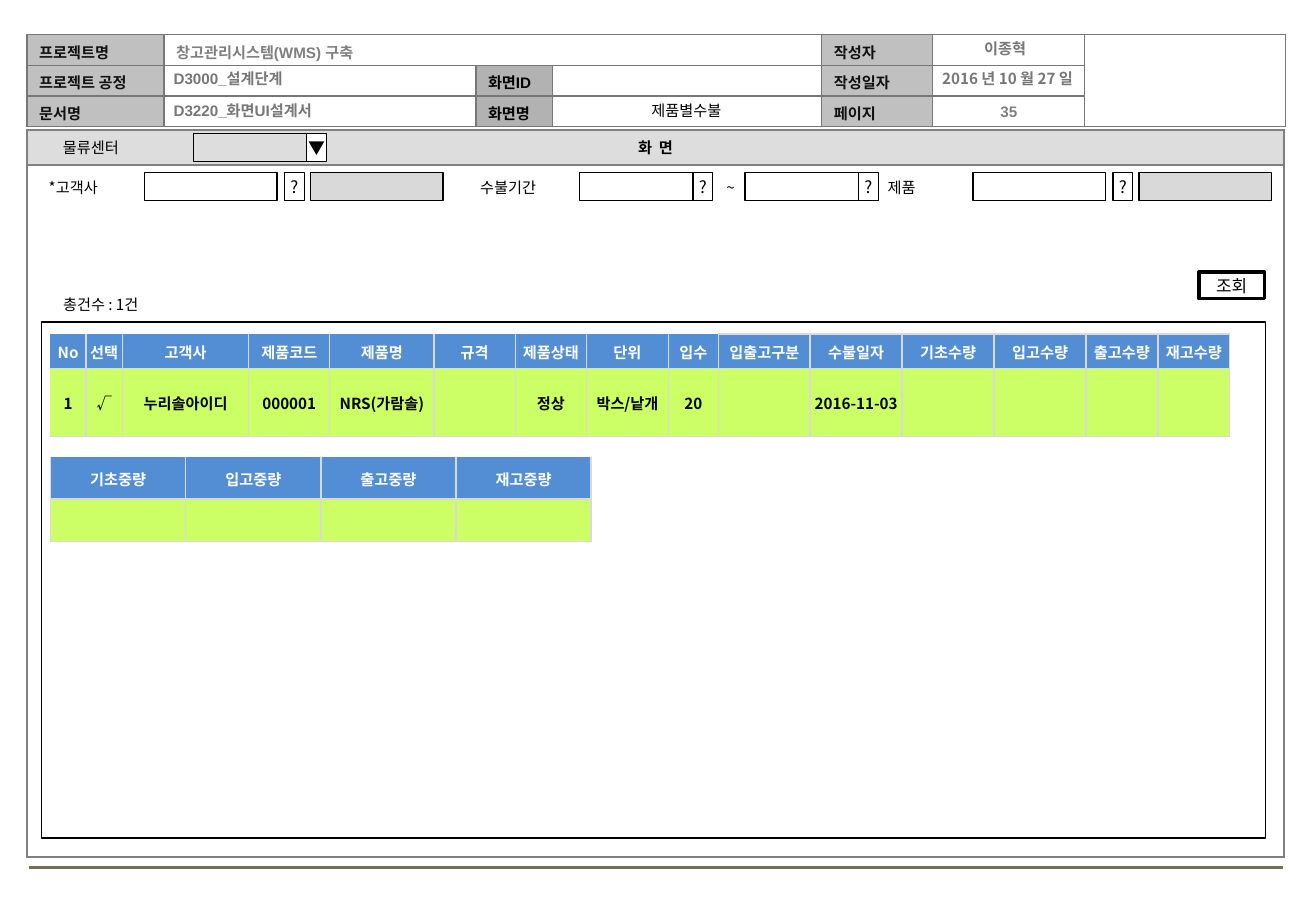
from dataclasses import dataclass

from lxml.etree import SubElement
from pptx import Presentation
from pptx.dml.color import RGBColor
from pptx.enum.shapes import MSO_CONNECTOR as Connector, MSO_SHAPE as Shape
from pptx.enum.text import MSO_ANCHOR as Anchor, PP_ALIGN as Align
from pptx.oxml.ns import qn
from pptx.util import Pt

PLAIN_TABLE_STYLE = "{2D5ABB26-0587-4C30-8999-92F81FD0307C}"


@dataclass(frozen=True)
class Theme:
    latin: str = "Arial"
    korean: str = "Noto Sans CJK KR"
    text_size: float = 9
    control_size: float = 10
    black: str = "000000"
    white: str = "FFFFFF"
    label: str = "111111"
    value: str = "777777"
    project: str = "808080"
    page_number: str = "7F7F7F"
    label_fill: str = "C0C0C0"
    screen_fill: str = "B2B2B2"
    title_fill: str = "DDDDDD"
    disabled_fill: str = "D9D9D9"
    header_line: str = "777777"
    frame_line: str = "808080"
    grid_line: str = "D9D9D9"
    grid_head: str = "538ED5"
    grid_row: str = "CCFF66"
    footer: str = "7A6F54"


THEME = Theme()


# Shared helpers
def write_text(text_frame, text, color=THEME.black, bold=False, align=Align.LEFT,
               font=THEME.korean, size=THEME.text_size):
    paragraph = text_frame.paragraphs[0]
    paragraph.text = text
    paragraph.alignment = align
    for run in paragraph.runs:
        run.font.name = font
        run.font.size = Pt(size)
        run.font.bold = bold
        run.font.color.rgb = RGBColor.from_string(color)
        SubElement(run.font._element, qn("a:ea"), typeface=THEME.korean)
    if not text:
        paragraph._p.get_or_add_endParaRPr().set("sz", str(int(size * 100)))


def add_label(slide, left, top, width, text, **style):
    shape = slide.shapes.add_textbox(Pt(left), Pt(top), Pt(width), Pt(18))
    shape.text_frame.word_wrap = True
    write_text(shape.text_frame, text, **style)


def add_rectangle(slide, left, top, width, height, fill=None, line_width=0.75, text=""):
    shape = slide.shapes.add_shape(Shape.RECTANGLE, Pt(left), Pt(top), Pt(width), Pt(height))
    shape.shadow.inherit = False
    if fill:
        shape.fill.solid()
        shape.fill.fore_color.rgb = RGBColor.from_string(fill)
    else:
        shape.fill.background()
    shape.line.color.rgb = RGBColor.from_string(THEME.black)
    shape.line.width = Pt(line_width)
    if text:
        frame = shape.text_frame
        frame.word_wrap = False
        frame.vertical_anchor = Anchor.MIDDLE
        frame.margin_left = frame.margin_right = Pt(1.5)
        frame.margin_top = frame.margin_bottom = Pt(3)
        write_text(frame, text, align=Align.CENTER, size=THEME.control_size)


def add_grid(slide, left, top, widths, heights):
    graphic = slide.shapes.add_table(len(heights), len(widths), Pt(left), Pt(top),
                                     Pt(sum(widths)), Pt(sum(heights)))
    table = graphic.table
    table.first_row = table.horz_banding = False
    table._tbl.tblPr.find(qn("a:tableStyleId")).text = PLAIN_TABLE_STYLE
    for column, width in zip(table.columns, widths):
        column.width = Pt(width)
    for row, height in zip(table.rows, heights):
        row.height = Pt(height)
    return table


def format_cell(cell, text, fill, line, margins, sides="LRTB", **style):
    cell.margin_left, cell.margin_top, cell.margin_right, cell.margin_bottom = map(Pt, margins)
    cell.vertical_anchor = Anchor.MIDDLE
    properties = cell._tc.get_or_add_tcPr()
    for side in sides:
        border = SubElement(properties, qn(f"a:ln{side}"), w=str(Pt(1)))
        SubElement(SubElement(border, qn("a:solidFill")), qn("a:srgbClr"), val=line)
    if fill:
        cell.fill.solid()
        cell.fill.fore_color.rgb = RGBColor.from_string(fill)
    else:
        cell.fill.background()
    write_text(cell.text_frame, text, **style)


# Document header: project table and its values
def add_document_header(slide, left, top):
    widths = [81.2, 184.9, 45.6, 159.4, 65.8, 90.1, 119]
    rows = [["프로젝트명", "창고관리시스템(WMS) 구축", "", "", "작성자", "", ""],
            ["프로젝트 공정", "", "화면ID", "", "작성일자", "", ""],
            ["문서명", "", "화면명", "", "페이지", "", ""]]
    table = add_grid(slide, left, top, widths, [18.2] * 3)
    table.cell(0, 1).merge(table.cell(0, 3))
    table.cell(0, 6).merge(table.cell(2, 6))
    column_styles = {0: (THEME.label_fill, THEME.label), 2: (THEME.screen_fill, THEME.black),
                     4: (THEME.label_fill, THEME.label)}
    for row, texts in enumerate(rows):
        for column, text in enumerate(texts):
            fill, color = column_styles.get(column, (None, THEME.project))
            if row == 0 and column == 2:
                fill = None
            format_cell(table.cell(row, column), text, fill, THEME.header_line,
                        (7.2, 3, 7.2, 1), color=color, bold=True, font=THEME.latin)

    stage = dict(color=THEME.value, bold=True, font=THEME.latin)
    person = dict(color=THEME.value, bold=True, align=Align.CENTER)
    add_label(slide, left + 79.8, top + 17, 390, "D3000_설계단계", **stage)
    add_label(slide, left + 79.8, top + 36, 390, "D3220_화면UI설계서", **stage)
    add_label(slide, left + 537, top + 36.5, 90, "35", color=THEME.page_number,
              bold=True, align=Align.CENTER, font=THEME.latin)
    add_label(slide, left + 312.3, top + 36, 157, "제품별수불", align=Align.CENTER)
    add_label(slide, left + 524.7, top + 17, 113, "2016 년 10 월 27 일", **person)
    add_label(slide, left + 523.3, top - 1, 113, "이종혁", **person)


# Screen frame with its title bar
def add_screen_frame(slide, left, top, width):
    table = add_grid(slide, left, top, [width], [20.8, 410.2])
    for row, (text, fill) in enumerate([("화  면", THEME.title_fill), ("", None)]):
        format_cell(table.cell(row, 0), text, fill, THEME.frame_line, (1.5, 0, 1.5, 0),
                    bold=True, align=Align.CENTER, font=THEME.latin)


# Search fields: label, input, small button and optional name box
def add_input(slide, left, top, button="?", button_offset=67.3):
    add_rectangle(slide, left, top, 78.5, 16.7)
    add_rectangle(slide, left + button_offset, top, 11.7, 16.7, THEME.white, text=button)


def add_search_fields(slide, left, top):
    add_label(slide, left + 14.2, top + 1.5, 84, "물류센터")
    add_input(slide, left + 98.5, top + 2.2, "▼")

    row = top + 25.2
    for offset, text in [(69.7, "*고객사"), (327.4, "수불기간"), (560.7, "제품")]:
        add_label(slide, left + offset - 84.3, row, 84, text, align=Align.CENTER)
    for offset in (69.7, 560.7):
        add_input(slide, left + offset, row, button_offset=83)
        add_rectangle(slide, left + offset + 98.4, row, 78.5, 16.7, THEME.disabled_fill)
    for offset in (327.4, 425.6):
        add_input(slide, left + offset, row)
    add_label(slide, left + 407.4, row, 16.6, "~", align=Align.CENTER)

    add_label(slide, left + 7, top + 94.4, 73.4, "총건수 : 1건", align=Align.CENTER)
    add_rectangle(slide, left + 694.6, top + 84.3, 38.9, 15.8, THEME.white, 2, "조회")


# Result panel with the quantity and weight grids
def add_result_grid(slide, left, top, widths, heights, rows, open_left=False):
    table = add_grid(slide, left, top, widths, heights)
    row_styles = [(THEME.grid_head, THEME.white), (THEME.grid_row, THEME.black)]
    for row, (texts, (fill, color)) in enumerate(zip(rows, row_styles)):
        for column, text in enumerate(texts):
            sides = "RB" if open_left and column == 0 else "LRB"
            if row == 1 or (open_left and column >= 9):
                sides = sides.replace("B", "TB")
            format_cell(table.cell(row, column), text, fill, THEME.grid_line,
                        (0.7, 0.7, 0.7, 0), sides, color=color, bold=True,
                        align=Align.CENTER)


def add_result_panel(slide, left, top, width, height):
    add_rectangle(slide, left, top, width, height)
    widths = [21.4, 21.4, 75, 48, 61.8, 48.3, 42, 48.8, 29.5] + [54.5] * 4 + [42.6] * 2
    quantity = [["No", "선택", "고객사", "제품코드", "제품명", "규격", "제품상태", "단위", "입수",
                 "입출고구분", "수불일자", "기초수량", "입고수량", "출고수량", "재고수량"],
                ["1", "√", "누리솔아이디", "000001", "NRS(가람솔)", "", "정상", "박스/낱개", "20",
                 "", "2016-11-03", "", "", "", ""]]
    add_result_grid(slide, left + 5.2, top + 7.2, widths, [20.5, 40.4], quantity, True)
    weight = [["기초중량", "입고중량", "출고중량", "재고중량"], [""] * 4]
    add_result_grid(slide, left + 5.5, top + 80.1, [80.1] * 4, [25, 25], weight)


# Footer rule
def add_footer(slide, left, top, width):
    line = slide.shapes.add_connector(Connector.STRAIGHT, Pt(left), Pt(top),
                                      Pt(left + width), Pt(top))
    line.line.color.rgb = RGBColor.from_string(THEME.footer)
    line.line.width = Pt(1.75)
    SubElement(line._element.spPr, qn("a:effectLst"))


def main():
    presentation = Presentation()
    presentation.slide_width, presentation.slide_height = Pt(780), Pt(540)
    slide = presentation.slides.add_slide(presentation.slide_layouts[6])
    add_footer(slide, 17.3, 514, 743)
    add_document_header(slide, 16, 20.5)
    add_screen_frame(slide, 16, 77, 745)
    add_result_panel(slide, 24.5, 190.8, 725.8, 306)
    add_search_fields(slide, 16, 77)
    presentation.save("out.pptx")


if __name__ == "__main__":
    main()
